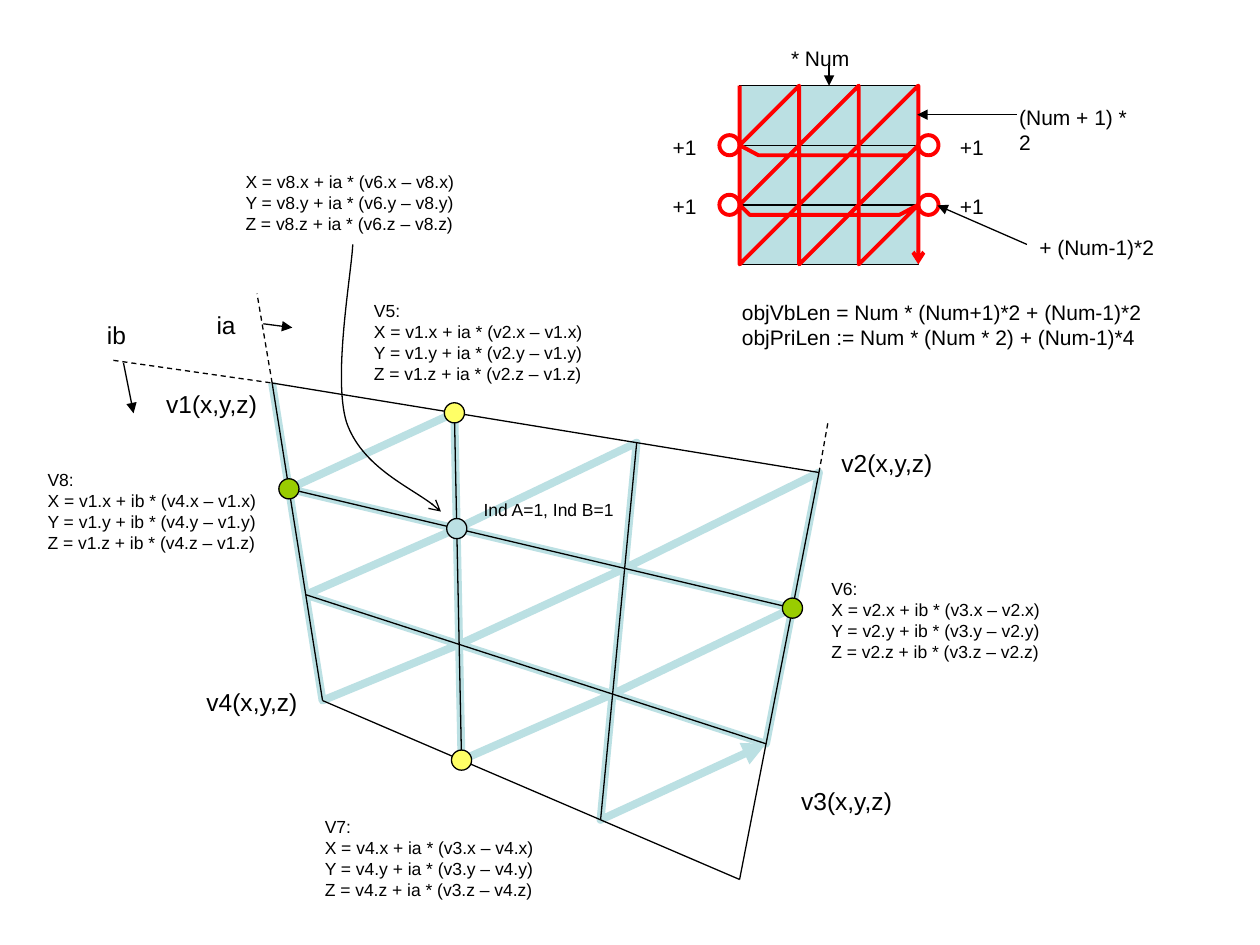
"""Builds a slide on subdividing a quad into a triangle strip and counting its vertices."""
import pptx
import pptx.util
import pptx.dml.color
import pptx.enum.dml
import pptx.enum.shapes
import pptx.enum.text
import pptx.oxml
import pptx.oxml.ns

BLACK = pptx.dml.color.RGBColor(0x00, 0x00, 0x00)
RED = pptx.dml.color.RGBColor(0xFF, 0x00, 0x00)
TEAL = pptx.dml.color.RGBColor(0xBB, 0xE0, 0xE3)
YELLOW = pptx.dml.color.RGBColor(0xFF, 0xFF, 0x66)
GREEN = pptx.dml.color.RGBColor(0x99, 0xCC, 0x00)
OVAL = pptx.enum.shapes.MSO_SHAPE.OVAL
RECTANGLE = pptx.enum.shapes.MSO_SHAPE.RECTANGLE
STRAIGHT = pptx.enum.shapes.MSO_CONNECTOR.STRAIGHT
DASH = pptx.enum.dml.MSO_LINE.DASH

presentation = pptx.Presentation()
presentation.slide_width = pptx.util.Inches(10)
presentation.slide_height = pptx.util.Inches(7.5)
slide = presentation.slides.add_slide(presentation.slide_layouts[6])
shapes = slide.shapes
UNIT = presentation.slide_width / 100


def style_outline(shape, color=BLACK, width=0.75, arrow=None, dash=None):
    shape.line.color.rgb = color
    shape.line.width = pptx.util.Pt(width)
    if dash:
        shape.line.dash_style = dash
    properties = shape._element.spPr
    outline = properties.find(pptx.oxml.ns.qn("a:ln"))
    namespace = pptx.oxml.ns.nsdecls("a")
    outline.append(pptx.oxml.parse_xml(f"<a:round {namespace}/>"))
    if arrow:
        outline.append(pptx.oxml.parse_xml(f'<a:tailEnd {namespace} type="{arrow}"/>'))
    properties.append(pptx.oxml.parse_xml(f"<a:effectLst {namespace}/>"))


def draw_path(points, color, width, arrow):
    corners = [(x * UNIT, y * UNIT) for x, y in points]
    builder = shapes.build_freeform(*corners[0], scale=1.0)
    builder.add_line_segments(corners[1:], close=False)
    shape = builder.convert_to_shape()
    shape.fill.background()
    style_outline(shape, color, width, arrow)
    return shape


strip_rows = [[(column, row + step) for column in range(4) for step in (0, 1)] for row in range(3)]

V1, V2, V3, V4 = (21.6, 30.4), (65, 37.5), (58.7, 69.8), (25.6, 55.6)
node = {}
for column in range(4):
    for row in range(4):
        a, b = column / 3, row / 3
        node[column, row] = tuple(
            (1 - b) * ((1 - a) * V1[axis] + a * V2[axis]) + b * ((1 - a) * V4[axis] + a * V3[axis])
            for axis in (0, 1))

strip = [node[key] for strip_row in strip_rows for key in strip_row]
draw_path(strip[:-1], TEAL, 4.5, "triangle")

grid_lines = [(node[i, 0], node[i, 3]) for i in range(4)]
grid_lines += [(node[0, i], node[3, i]) for i in range(4)]
extensions = [(V1, (20.4, 23.3)), ((65.7, 33.6), V2), ((9, 28.6), V1)]
pointers = [((20.9, 25.7), (23.2, 26)), ((9.8, 28.8), (10.6, 32.8))]

NODE_SIZE = 1.6
for key, color in [((1, 1), TEAL), ((1, 0), YELLOW), ((1, 3), YELLOW), ((0, 1), GREEN), ((3, 1), GREEN)]:
    grid_lines_done = not grid_lines
    for start, end in grid_lines:
        style_outline(shapes.add_connector(STRAIGHT, *[int(v * UNIT) for v in start + end]))
    grid_lines = []
    x, y = node[key]
    marker = shapes.add_shape(
        OVAL, *[int(v * UNIT) for v in (x - NODE_SIZE / 2, y - NODE_SIZE / 2, NODE_SIZE, NODE_SIZE)])
    marker.fill.solid()
    marker.fill.fore_color.rgb = color
    style_outline(marker)

curve = draw_path(
    [(28, 19.4), (27.9, 21.7), (26.4, 29.9), (27.5, 33.5), (28.7, 37), (33.5, 39.1), (35, 40.6)],
    BLACK, 0.75, "arrow")
segments = list(curve._element.iter(pptx.oxml.ns.qn("a:lnTo")))
for first in range(0, len(segments), 3):
    bezier = pptx.oxml.parse_xml(f"<a:cubicBezTo {pptx.oxml.ns.nsdecls('a')}/>")
    segments[first].addprevious(bezier)
    for segment in segments[first:first + 3]:
        bezier.append(segment[0])
        segment.getparent().remove(segment)

LEFT, TOP, CELL = 58.7, 6.8, 4.73
RIGHT = LEFT + 3 * CELL
for row in range(3):
    for column in range(3):
        cell = shapes.add_shape(
            RECTANGLE, *[int(v * UNIT) for v in (LEFT + column * CELL, TOP + row * CELL, CELL, CELL)])
        cell.fill.solid()
        cell.fill.fore_color.rgb = TEAL
        style_outline(cell)

route = []
for strip_row, turn in zip(strip_rows, [(0.8, 1.5), (1.5, 0.8), None]):
    route += [(LEFT + column * CELL, TOP + row * CELL) for column, row in strip_row]
    if turn:
        level = route[-1][1] + 0.8
        route += [(RIGHT - turn[0], level), (LEFT + turn[1], level)]
draw_path(route, RED, 2.25, "arrow")

labels = [
    (12.2, 30.4, 9.3, 14, "v1(x,y,z)"),
    (65.8, 35.1, 9.3, 14, "v2(x,y,z)"),
    (62.6, 61.9, 9.3, 14, "v3(x,y,z)"),
    (15.4, 54, 9.3, 14, "v4(x,y,z)"),
    (16.2, 24.1, 3.5, 14, "ia"),
    (7.5, 24.9, 3.5, 14, "ib"),
    (37.4, 39.1, 12.4, 10, "Ind A=1, Ind B=1"),
    (79.9, 7.8, 11.9, 12, "(Num + 1) * 2"),
    (61.8, 3.1, 6.6, 12, "* Num"),
    (81.5, 18.1, 11.1, 12, "+ (Num-1)*2"),
    (57.9, 23.3, 33.7, 12,
     "objVbLen = Num * (Num+1)*2 + (Num-1)*2\nobjPriLen := Num * (Num * 2) + (Num-1)*4"),
]

for row in (1, 2):
    y = TOP + row * CELL
    for ring_left, label_left in [(RIGHT, 75.2), (LEFT - NODE_SIZE, 52.4)]:
        ring = shapes.add_shape(
            OVAL, *[int(v * UNIT) for v in (ring_left, y - NODE_SIZE / 2, NODE_SIZE, NODE_SIZE)])
        ring.fill.background()
        style_outline(ring, RED, 2.25)
        labels.append((label_left, y - 1.35, 3.9, 12, "+1"))

for left, top, title, start, factor, end in [
        (28.7, 23.3, "V5:\n", "v1", "ia", "v2"), (24.8, 64.3, "V7:\n", "v4", "ia", "v3"),
        (65, 45.4, "V6:\n", "v2", "ib", "v3"), (2.8, 36.7, "V8:\n", "v1", "ib", "v4"),
        (18.5, 13.1, "", "v8", "ia", "v6")]:
    formulas = [f"{axis.upper()} = {start}.{axis} + {factor} * ({end}.{axis} – {start}.{axis})"
                for axis in "xyz"]
    labels.append((left, top, 18.5, 10, title + "\n".join(formulas)))

for left, top, width, size, text in labels:
    height = 1 + (text.count("\n") + 1) * size / 6
    box = shapes.add_textbox(*[int(v * UNIT) for v in (left, top, width, height)])
    text_frame = box.text_frame
    text_frame.word_wrap = False
    text_frame.auto_size = pptx.enum.text.MSO_AUTO_SIZE.SHAPE_TO_FIT_TEXT
    text_frame.text = text
    for paragraph in text_frame.paragraphs:
        for run in paragraph.runs:
            run.font.name = "Arial"
            run.font.size = pptx.util.Pt(size)
            run.font.color.rgb = BLACK

pointers += [((65.8, 5.2), (65.8, 6.8)), ((80.7, 9.1), (72.8, 9.1)), ((81.5, 19.4), (74.4, 16.3))]
for lines, arrow, dash in [(extensions, None, DASH), (pointers, "triangle", None)]:
    for start, end in lines:
        connector = shapes.add_connector(STRAIGHT, *[int(v * UNIT) for v in start + end])
        style_outline(connector, arrow=arrow, dash=dash)

presentation.save("out.pptx")
